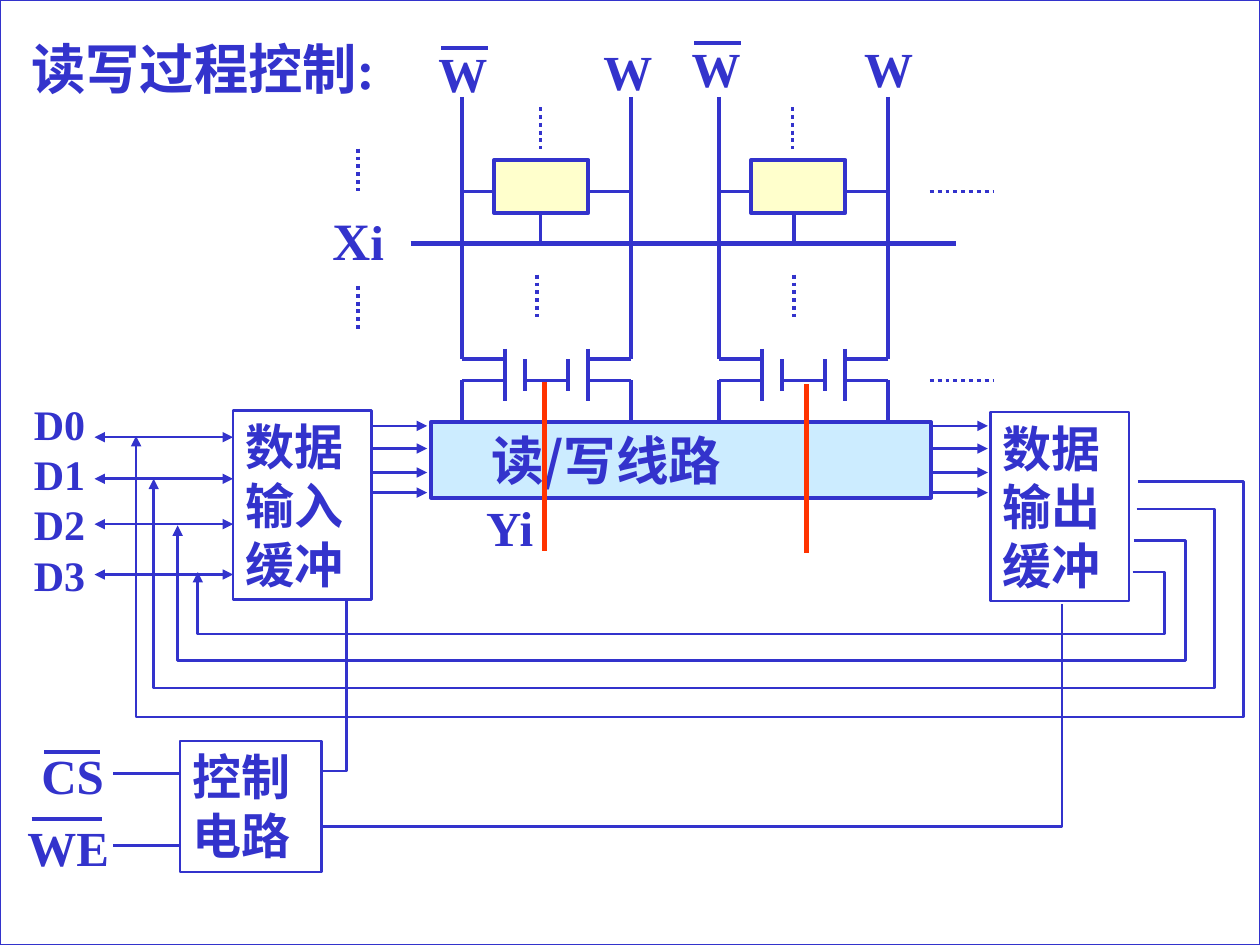
from dataclasses import dataclass
from typing import NamedTuple

from pptx import Presentation
from pptx.dml.color import RGBColor
from pptx.enum.dml import MSO_LINE_DASH_STYLE as Dash
from pptx.enum.shapes import MSO_CONNECTOR as Conn, MSO_SHAPE as Shape
from pptx.enum.text import MSO_ANCHOR as Anchor, MSO_AUTO_SIZE as Fit, PP_ALIGN as Align
from pptx.oxml.ns import qn
from pptx.util import Emu, Inches, Pt
from lxml.etree import SubElement

COLORS = {"ink": "3333CC", "cell": "FFFFCC", "bus": "CCECFF", "select": "FF3300", "paper": "FFFFFF"}
LATIN, HAN = "Times New Roman", "Noto Sans CJK SC"
COLS, ROWS = 100, 75

prs = Presentation()
prs.slide_width, prs.slide_height = Inches(10), Inches(7.5)
s = prs.slides.add_slide(prs.slide_layouts[5])


class Box(NamedTuple):
    x: float
    y: float
    w: float
    h: float


class Run(NamedTuple):
    text: str
    size: float = 28
    font: str = LATIN


@dataclass
class Label:
    box: Box
    runs: list[Run]
    wrap: bool = True


@dataclass
class Block:
    box: Box
    fill: str | None = None
    weight: float = 1.5
    runs: tuple[Run, ...] = ()
    indent: float = 0


@dataclass
class Column:
    x: float
    stem: float
    upper_dots: float
    lower_dots: float
    select_x: float
    select_y: float


@dataclass
class Loop:
    start: tuple[float, float]
    right: float
    bottom: float
    left: float
    tip: float


def col(n: float) -> Emu:
    return Emu(round(prs.slide_width * n / COLS))


def row(n: float) -> Emu:
    return Emu(round(prs.slide_height * n / ROWS))


def rgb(name: str) -> RGBColor:
    return RGBColor.from_string(COLORS[name])


def style_line(sp, weight: float, color: str = "ink", heads: str = "") -> None:
    sp.line.color.rgb = rgb(color)
    sp.line.width = Pt(weight)
    ln = sp.line._get_or_add_ln()
    for end in heads.split():
        SubElement(ln, qn(f"a:{end}"), type="triangle")


def line(x1: float, y1: float, x2: float, y2: float, weight: float = 2.25,
         color: str = "ink", heads: str = "", dotted: bool = False) -> None:
    c = s.shapes.add_connector(Conn.STRAIGHT, col(x1), row(y1), col(x2), row(y2))
    style_line(c, weight, color, heads)
    if dotted:
        c.line.dash_style = Dash.ROUND_DOT
    SubElement(c._element.spPr, qn("a:effectLst"))


def write(sp, runs, indent: float = 0, wrap: bool = True) -> None:
    tf = sp.text_frame
    tf.auto_size, tf.word_wrap, tf.vertical_anchor = Fit.NONE, wrap, Anchor.TOP
    tf.margin_left = tf.margin_right = col(1)
    tf.margin_top = tf.margin_bottom = row(0.5)
    p = tf.paragraphs[0]
    p.alignment, p.space_before = Align.LEFT, Pt(0)
    p.line_spacing = Pt(max(run.size for run in runs) * 1.2)
    if indent:
        p._p.get_or_add_pPr().set("marL", str(col(indent)))
    for run in runs:
        r = p.add_run()
        r.text = run.text
        f = r.font
        f.name, f.size, f.bold = run.font, Pt(run.size), True
        f.color.rgb = rgb("ink")
        SubElement(r._r.get_or_add_rPr(), qn("a:ea"), typeface=HAN)


def label(item: Label) -> None:
    x, y, w, h = item.box
    sp = s.shapes.add_textbox(col(x), row(y), col(w), row(h))
    write(sp, item.runs, wrap=item.wrap)


def block(item: Block):
    x, y, w, h = item.box
    sp = s.shapes.add_shape(Shape.RECTANGLE, col(x), row(y), col(w), row(h))
    sp.shadow.inherit = False
    if item.fill:
        sp.fill.solid()
        sp.fill.fore_color.rgb = rgb(item.fill)
    else:
        sp.fill.background()
    style_line(sp, item.weight)
    if item.runs:
        write(sp, item.runs, item.indent)
    return sp


def polyline(points: list[tuple[float, float]], heads: str = "") -> None:
    (x, y), *rest = [(col(px), row(py)) for px, py in points]
    fb = s.shapes.build_freeform(x, y)
    fb.add_line_segments(rest, close=False)
    sp = fb.convert_to_shape()
    sp.shadow.inherit = False
    sp.fill.background()
    style_line(sp, 1.5, heads=heads)


def memory_column(c: Column) -> None:
    left, right = c.x, c.x + 13.4
    block(Block(Box(left + 2.5, 12.7, 7.5, 4.2), "cell", 2.25))
    line(left, 15.2, left + 2.5, 15.2)
    line(left + 10, 15.2, right, 15.2)
    line(c.stem, 16.9, c.stem, 19.3)
    for rail, side in ((left, 1), (right, -1)):
        plate, gate = rail + 3.4 * side, rail + 5 * side
        line(rail, 7.7, rail, 28.5)
        line(rail, 30.2, rail, 33.5)
        for y in (28.5, 30.2):
            line(rail, y, plate, y)
        line(plate, 27.7, plate, 31.8)
        line(gate, 28.5, gate, 31)
    line(left + 5, 30.2, right - 5, 30.2)
    line(c.upper_dots, 8.5, c.upper_dots, 11.8, dotted=True)
    line(c.lower_dots, 21.8, c.lower_dots, 25.2, dotted=True)


def main() -> None:
    title = s.shapes.title
    title.left, title.top, title.width, title.height = col(1.5), row(2.3), col(31.1), row(6.2)
    write(title, [Run("读写过程控制:", 31)])
    frame = block(Block(Box(0, 0, COLS, ROWS), "paper", 0.75))
    title._element.addprevious(frame._element)

    columns = [Column(36.7, 42.9, 42.9, 42.6, 43.2, 30.3),
               Column(57.1, 63, 62.9, 63, 64, 30.5)]
    line(32.6, 19.3, 75.9, 19.3, 3)
    for c in columns:
        memory_column(c)
    block(Block(Box(34.2, 33.5, 39.7, 6), "bus", 2.25, (Run("读/写线路", 30, HAN),), 3.8))
    for c in columns:
        line(c.select_x, c.select_y, c.select_x, c.select_y + 13.4, 3, "select")

    for y in (11.8, 22.7):
        line(28.4, y, 28.4, y + 3.4, dotted=True)
    for y in (15.2, 30.2):
        line(73.8, y, 78.8, y, dotted=True)

    for item in (
        Label(Box(25.4, 16, 9.2, 6), [Run("X", 30), Run("i")]),
        Label(Box(37.6, 39, 9.2, 5.7), [Run("Yi")]),
        *(Label(Box(x, y, 7.5, 5.7), [Run("W")])
          for x, y in ((33.8, 3), (46.9, 2.8), (53.9, 2.6), (67.6, 2.6))),
        Label(Box(1.7, 31.1, 7.9, 17), [Run("D0D1D2D3", 24)]),
        Label(Box(2.3, 58.7, 6.9, 5.7), [Run("CS")], wrap=False),
        Label(Box(1.2, 64.4, 11.4, 5.7), [Run("WE")]),
    ):
        label(item)
    for x1, x2, y, weight in ((35, 38.7, 3.8, 2.25), (55.1, 58.8, 3.4, 2.25),
                              (3.5, 7.9, 59.7, 2), (2.5, 8.1, 65, 2)):
        line(x1, y, x2, y, weight)

    for box, text in ((Box(18.5, 32.6, 11, 15), "数据输入缓冲"),
                      (Box(78.6, 32.7, 11, 15), "数据输出缓冲"),
                      (Box(14.3, 58.8, 11.2, 10.4), "控制电路")):
        block(Block(box, runs=(Run(text),)))

    for x in (29.5, 74):
        for y in (33.8, 35.6, 37.5, 39.1):
            line(x, y, x + 4.4, y, 1.5, heads="tailEnd")
    for y in (34.7, 38, 41.6, 45.6):
        line(7.5, y, 18.5, y, 1.5, heads="headEnd tailEnd")
    for y in (61.4, 67.1):
        line(9, y, 14.3, y, 1.5)

    for lp in (Loop((89.9, 45.4), 92.4, 50.3, 15.7, 45.4),
               Loop((90, 42.9), 94.1, 52.4, 14.1, 41.7),
               Loop((90.2, 40.4), 96.4, 54.6, 12.2, 38),
               Loop((90.3, 38.2), 98.7, 56.9, 10.8, 34.6)):
        polyline([lp.start, (lp.right, lp.start[1]), (lp.right, lp.bottom),
                  (lp.left, lp.bottom), (lp.left, lp.tip)], "tailEnd")
    for x, y, top in ((27.5, 61.2, 47.7), (84.3, 65.6, 47.9)):
        polyline([(25.6, y), (x, y), (x, top)])

    prs.save("out.pptx")


if __name__ == "__main__":
    main()
